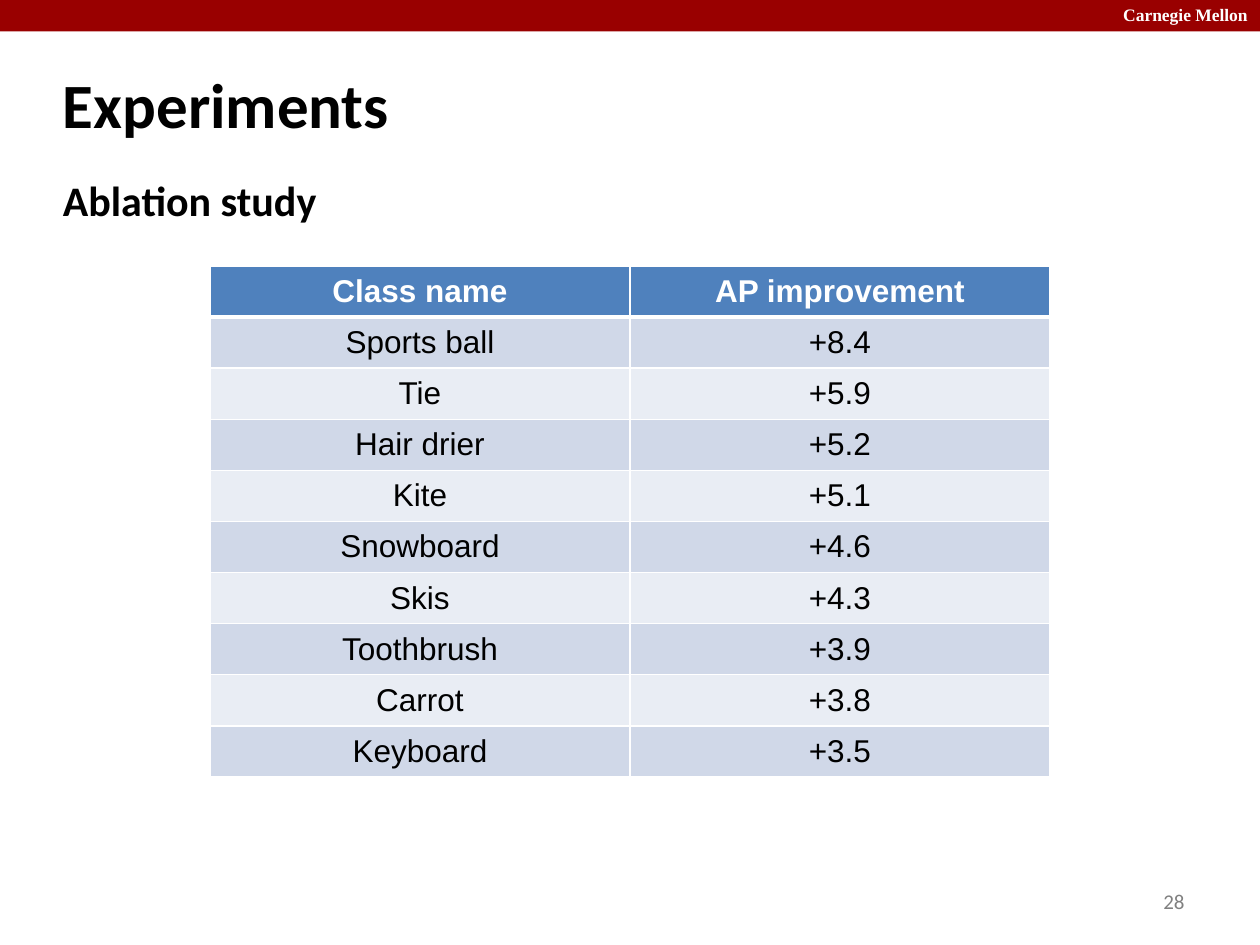
import lxml.etree
import pptx
import pptx.dml.color
import pptx.enum.shapes
import pptx.enum.text
import pptx.oxml.ns
import pptx.util

Pt = pptx.util.Pt
Align = pptx.enum.text.PP_ALIGN
Anchor = pptx.enum.text.MSO_ANCHOR

UNIVERSITY = "Carnegie Mellon"
TITLE = "Experiments"
SUBTITLE = "Ablation study"
PAGE = "28"
HEADER = ("Class name", "AP improvement")
IMPROVEMENTS = [
    ("Sports ball", "+8.4"),
    ("Tie", "+5.9"),
    ("Hair drier", "+5.2"),
    ("Kite", "+5.1"),
    ("Snowboard", "+4.6"),
    ("Skis", "+4.3"),
    ("Toothbrush", "+3.9"),
    ("Carrot", "+3.8"),
    ("Keyboard", "+3.5"),
]

THEME = {
    "banner": "990000",
    "white": "FFFFFF",
    "black": "000000",
    "gray": "808080",
    "header": "4F81BD",
    "bands": ("D0D8E8", "E9EDF4"),
    # font, size, colour, bold
    "university": ("Times New Roman", 10, "FFFFFF", True),
    "title": ("Calibri", 36, "000000", True),
    "subtitle": ("Calibri", 24, "000000", True),
    "page": ("Calibri", 12, "808080", False),
    "table_header": ("Arial", 18, "FFFFFF", True),
    "table_body": ("Arial", 18, "000000", False),
}

SLIDE_WIDTH, SLIDE_HEIGHT = 720, 540
BANNER_HEIGHT = 18
TABLE_WIDTH, TABLE_TOP, ROW_HEIGHT = 480, 152, 29.2
RULE, HEADER_RULE = 1, 3


def rgb(colour):
    return pptx.dml.color.RGBColor.from_string(colour)


def write(frame, text, style, align):
    font_name, size, colour, bold = THEME[style]
    paragraph = frame.paragraphs[0]
    paragraph.alignment = align
    run = paragraph.add_run()
    run.text = text
    run.font.name = font_name
    run.font.size = Pt(size)
    run.font.bold = bold
    run.font.color.rgb = rgb(colour)


def add_text(slide, box, text, style, align=Align.LEFT, anchor=Anchor.TOP, inset=7.2):
    frame = slide.shapes.add_textbox(*map(Pt, box)).text_frame
    frame.word_wrap = True
    frame.vertical_anchor = anchor
    frame.margin_left = Pt(inset)
    write(frame, text, style, align)


def set_borders(cell, **widths):
    """Draw white cell borders; widths maps L, R, T, B to points, in that order."""
    properties = cell._tc.get_or_add_tcPr()
    qn = pptx.oxml.ns.qn
    for position, (side, width) in enumerate(widths.items()):
        line = lxml.etree.Element(qn(f"a:ln{side}"), w=str(Pt(width)))
        fill = lxml.etree.SubElement(line, qn("a:solidFill"))
        lxml.etree.SubElement(fill, qn("a:srgbClr"), val=THEME["white"])
        properties.insert(position, line)


def add_banner(slide):
    banner = slide.shapes.add_shape(
        pptx.enum.shapes.MSO_SHAPE.RECTANGLE, 0, 0, Pt(SLIDE_WIDTH), Pt(BANNER_HEIGHT))
    banner.shadow.inherit = False
    banner.fill.solid()
    banner.fill.fore_color.rgb = rgb(THEME["banner"])
    banner.line.fill.background()


def add_improvement_table(slide):
    rows = [HEADER] + IMPROVEMENTS
    table = slide.shapes.add_table(
        len(rows), len(HEADER), Pt((SLIDE_WIDTH - TABLE_WIDTH) / 2), Pt(TABLE_TOP),
        Pt(TABLE_WIDTH), Pt(ROW_HEIGHT * len(rows))).table
    for r, values in enumerate(rows):
        is_header = r == 0
        fill = THEME["header"] if is_header else THEME["bands"][(r - 1) % 2]
        for c, value in enumerate(values):
            cell = table.cell(r, c)
            cell.vertical_anchor = Anchor.MIDDLE
            cell.fill.solid()
            cell.fill.fore_color.rgb = rgb(fill)
            set_borders(cell, L=RULE, R=RULE,
                        T=HEADER_RULE if r == 1 else RULE,
                        B=HEADER_RULE if is_header else RULE)
            write(cell.text_frame, value,
                  "table_header" if is_header else "table_body", Align.CENTER)


def main():
    deck = pptx.Presentation()
    deck.slide_width, deck.slide_height = Pt(SLIDE_WIDTH), Pt(SLIDE_HEIGHT)
    slide = deck.slides.add_slide(deck.slide_layouts[6])
    add_banner(slide)
    add_text(slide, (600, -1.3, 120, 19.4), UNIVERSITY, "university", Align.RIGHT)
    add_text(slide, (36, 31, 648, 56), TITLE, "title", anchor=Anchor.MIDDLE, inset=0)
    add_text(slide, (516, 500.5, 168, 28.8), PAGE, "page", Align.RIGHT, Anchor.MIDDLE)
    add_text(slide, (36, 96, 648, 402), SUBTITLE, "subtitle", inset=0)
    add_improvement_table(slide)
    deck.save("out.pptx")


if __name__ == "__main__":
    main()
